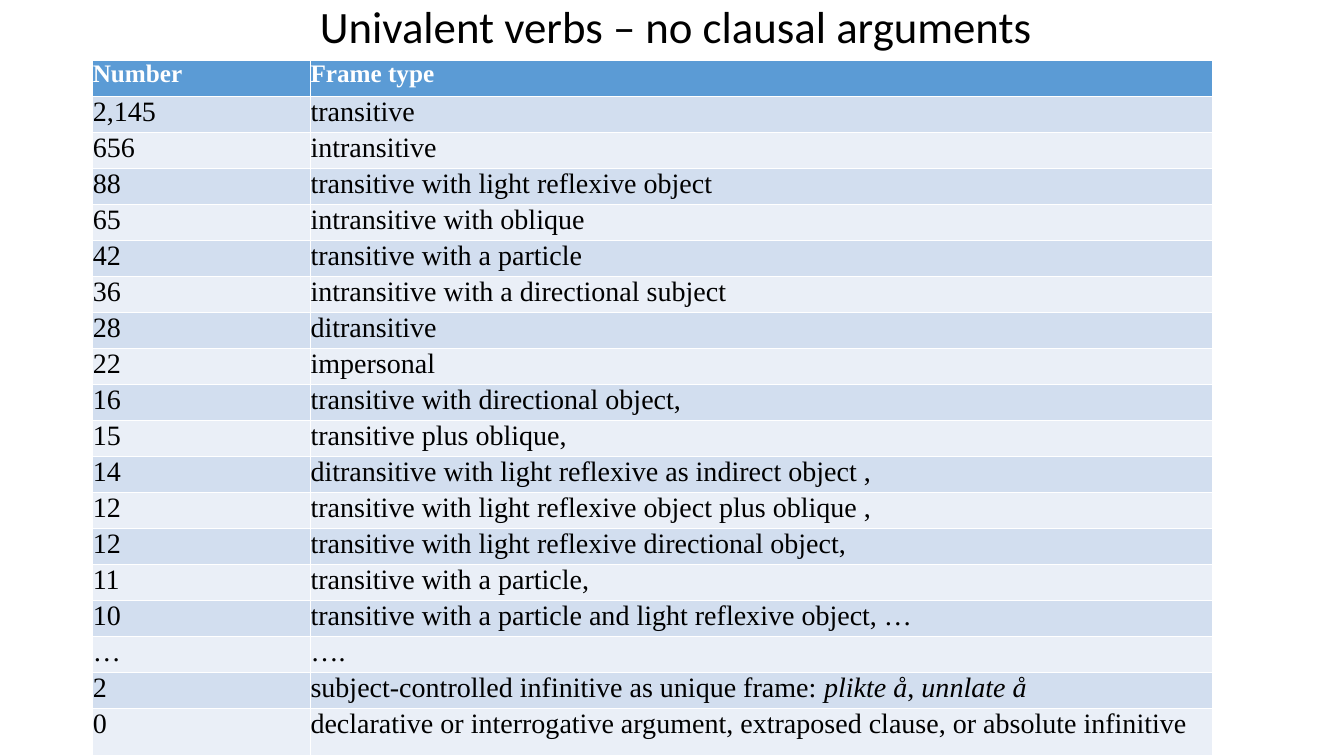
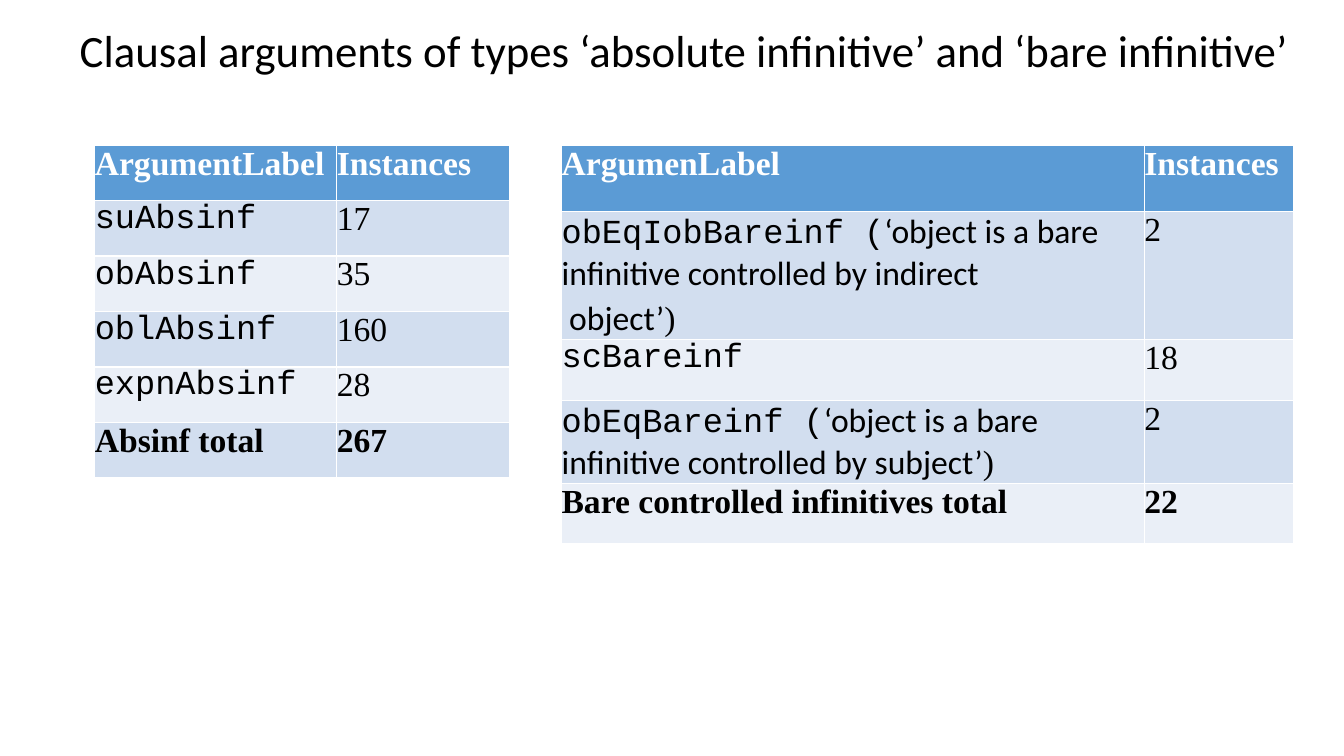
from collections import namedtuple

from pptx import Presentation
from pptx.dml.color import RGBColor
from pptx.enum.text import MSO_ANCHOR, PP_ALIGN
from pptx.util import Inches, Pt

SLIDE_WIDTH, SLIDE_HEIGHT = 13.33, 7.5
TITLE_HEIGHT = 0.58
TABLES_TOP = 1.44

WHITE = RGBColor(0xFF, 0xFF, 0xFF)
BLACK = RGBColor(0x00, 0x00, 0x00)
HEADER_BLUE = RGBColor(0x5B, 0x9B, 0xD5)
BANDS = (RGBColor(0xD2, 0xDE, 0xEF), RGBColor(0xEA, 0xEF, 0xF7))

SANS, SERIF, CODE = "Calibri", "Times New Roman", "Courier New"

Run = namedtuple("Run", "text font italic", defaults=(SERIF, False))

FRAME_TYPES = [
    ("Number", "Frame type"),
    ("2,145", "transitive"),
    ("656", "intransitive"),
    ("88", "transitive with light reflexive object"),
    ("65", "intransitive with oblique"),
    ("42", "transitive with a particle"),
    ("36", "intransitive with a directional subject"),
    ("28", "ditransitive"),
    ("22", "impersonal"),
    ("16", "transitive with directional object,"),
    ("15", "transitive plus oblique,"),
    ("14", "ditransitive with light reflexive as indirect object ,"),
    ("12", "transitive with light reflexive object plus oblique ,"),
    ("12", "transitive with light reflexive directional object,"),
    ("11", "transitive with a particle,"),
    ("10", "transitive with a particle and light reflexive object, …"),
    ("…", "…."),
    ("2", [[Run("subject-controlled infinitive as unique frame: "),
            Run("plikte å", italic=True), Run(", "),
            Run("unnlate å", italic=True)]]),
    ("0", "declarative or interrogative argument, extraposed clause, "
          "or absolute infinitive"),
]


def code(text):
    return [[Run(text, CODE)]]


ABSOLUTE_INFINITIVES = [
    ("ArgumentLabel", "Instances"),
    (code("suAbsinf"), "17"),
    (code("obAbsinf"), "35"),
    (code("oblAbsinf"), "160"),
    (code("expnAbsinf"), "28"),
    ("Absinf total", "267"),
]

BARE_INFINITIVES = [
    ("ArgumenLabel", "Instances"),
    ([[Run("obEqIobBareinf (", CODE),
       Run("‘object is a bare infinitive controlled by indirect", SANS)],
      [Run(" object’", SANS), Run(")")]], "2"),
    (code("scBareinf"), "18"),
    ([[Run("obEqBareinf (", CODE),
       Run("‘object is a bare infinitive controlled by subject’", SANS),
       Run(")")]], "2"),
    ("Bare controlled infinitives total", "22"),
]


def add_titled_slide(presentation, text, left, top, width, alignment):
    slide = presentation.slides.add_slide(presentation.slide_layouts[5])
    title = slide.shapes.title
    title.left, title.top = Inches(left), Inches(top)
    title.width, title.height = Inches(width), Inches(TITLE_HEIGHT)
    title.text_frame.text = text
    title.text_frame.vertical_anchor = MSO_ANCHOR.MIDDLE
    paragraph = title.text_frame.paragraphs[0]
    paragraph.alignment = alignment
    paragraph.line_spacing = 0.9
    paragraph.font.name = SANS
    paragraph.font.size = Pt(32)
    paragraph.font.color.rgb = BLACK
    return slide


def fill_cell(cell, content, size, color, bold, background):
    """Write a string, or a list of paragraphs that are lists of runs."""
    cell.margin_left = cell.margin_right = 0
    cell.margin_top = cell.margin_bottom = 0
    cell.fill.solid()
    cell.fill.fore_color.rgb = background
    paragraphs = [[Run(content)]] if isinstance(content, str) else content
    for index, runs in enumerate(paragraphs):
        frame = cell.text_frame
        paragraph = frame.add_paragraph() if index else frame.paragraphs[0]
        paragraph.alignment = PP_ALIGN.LEFT if len(runs) > 1 else PP_ALIGN.JUSTIFY
        paragraph.space_before = Pt(3)
        for part in runs:
            run = paragraph.add_run()
            run.text = part.text
            run.font.name = part.font
            run.font.italic = part.italic
            run.font.size = Pt(size)
            run.font.bold = bold
            run.font.color.rgb = color


def add_banded_table(slide, rows, left, top, column_widths, row_heights,
                     header_size=24, body_size=24, has_total=False):
    table = slide.shapes.add_table(
        len(rows), len(column_widths), Inches(left), Inches(top),
        Inches(sum(column_widths)), Inches(sum(row_heights))).table
    for column, width in zip(table.columns, column_widths):
        column.width = Inches(width)
    for index, (row, contents) in enumerate(zip(table.rows, rows)):
        row.height = Inches(row_heights[index])
        is_header = index == 0
        is_total = has_total and index == len(rows) - 1
        for cell, content in zip(row.cells, contents):
            fill_cell(cell, content,
                      size=header_size if is_header else body_size,
                      color=WHITE if is_header else BLACK,
                      bold=is_header or is_total,
                      background=HEADER_BLUE if is_header else BANDS[(index - 1) % 2])


def add_univalent_slide(presentation):
    slide = add_titled_slide(presentation, "Univalent verbs – no clausal arguments",
                             0.24, 0, 12.93, PP_ALIGN.CENTER)
    top, last_height = 0.6, 0.47
    regular_count = len(FRAME_TYPES) - 1
    regular_height = (SLIDE_HEIGHT - top - last_height) / regular_count
    add_banded_table(slide, FRAME_TYPES, 0.92, top, [2.16, 8.95],
                     [regular_height] * regular_count + [last_height],
                     header_size=18, body_size=20)


def add_infinitives_slide(presentation):
    slide = add_titled_slide(
        presentation,
        "Clausal arguments of types ‘absolute infinitive’ and ‘bare infinitive’",
        0.69, 0.24, 12.33, PP_ALIGN.LEFT)
    add_banded_table(slide, ABSOLUTE_INFINITIVES, 0.94, TABLES_TOP, [2.4, 1.71],
                     [0.55] * len(ABSOLUTE_INFINITIVES), has_total=True)
    add_banded_table(slide, BARE_INFINITIVES, 5.57, TABLES_TOP, [5.78, 1.48],
                     [0.66, 0.9, 0.6, 0.6, 0.6], has_total=True)


def main():
    presentation = Presentation()
    presentation.slide_width = Inches(SLIDE_WIDTH)
    presentation.slide_height = Inches(SLIDE_HEIGHT)
    add_univalent_slide(presentation)
    add_infinitives_slide(presentation)
    presentation.save("out.pptx")


if __name__ == "__main__":
    main()
